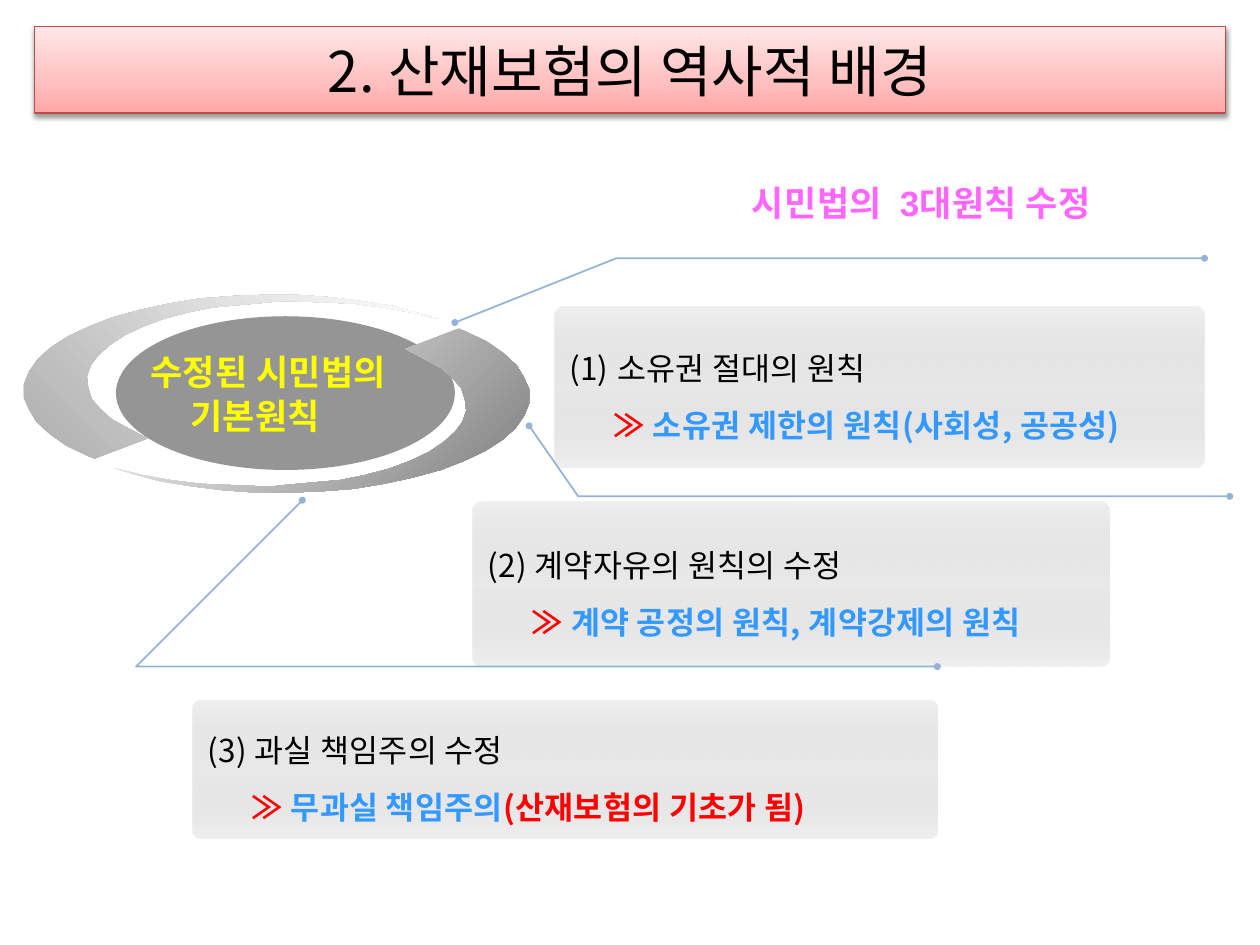
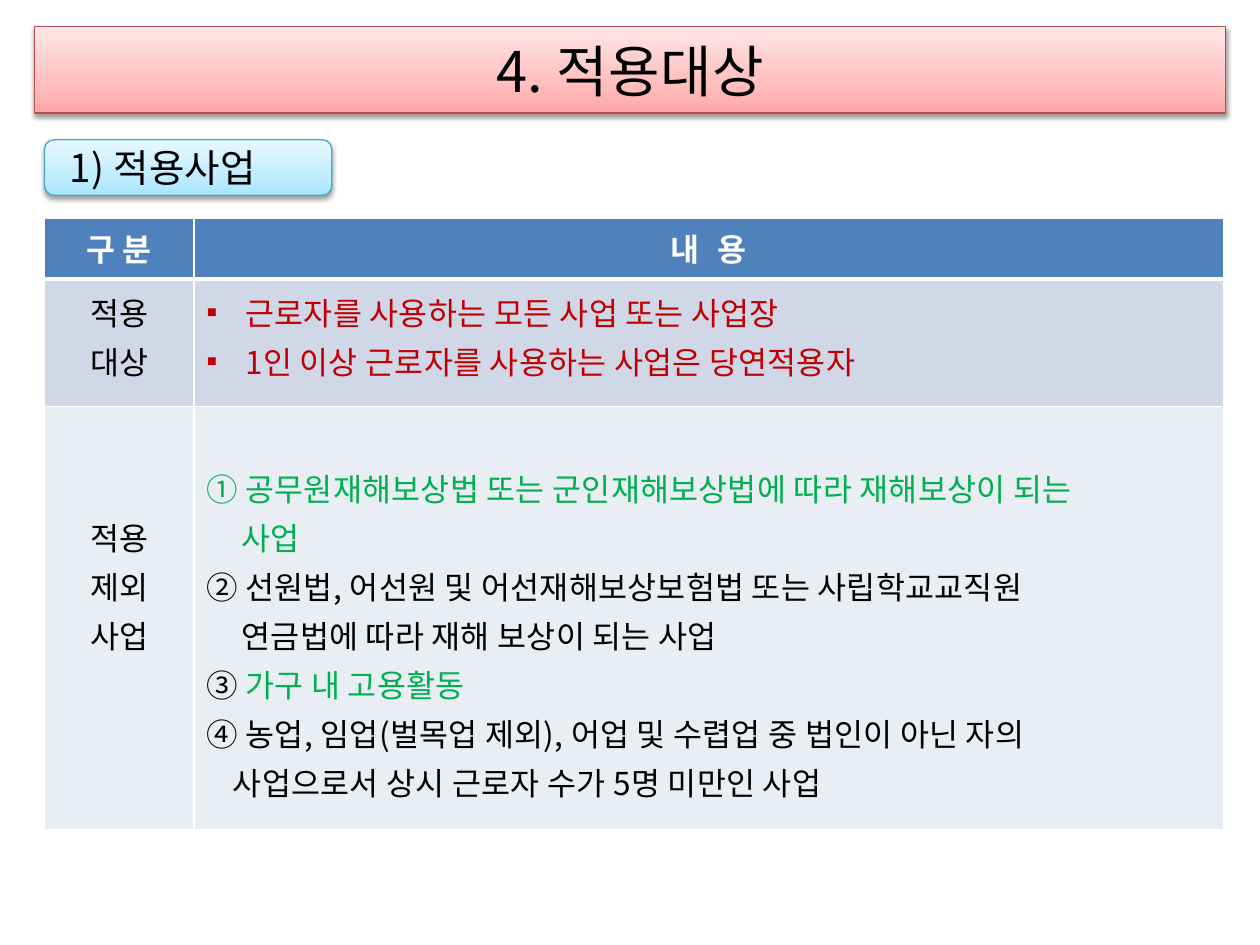
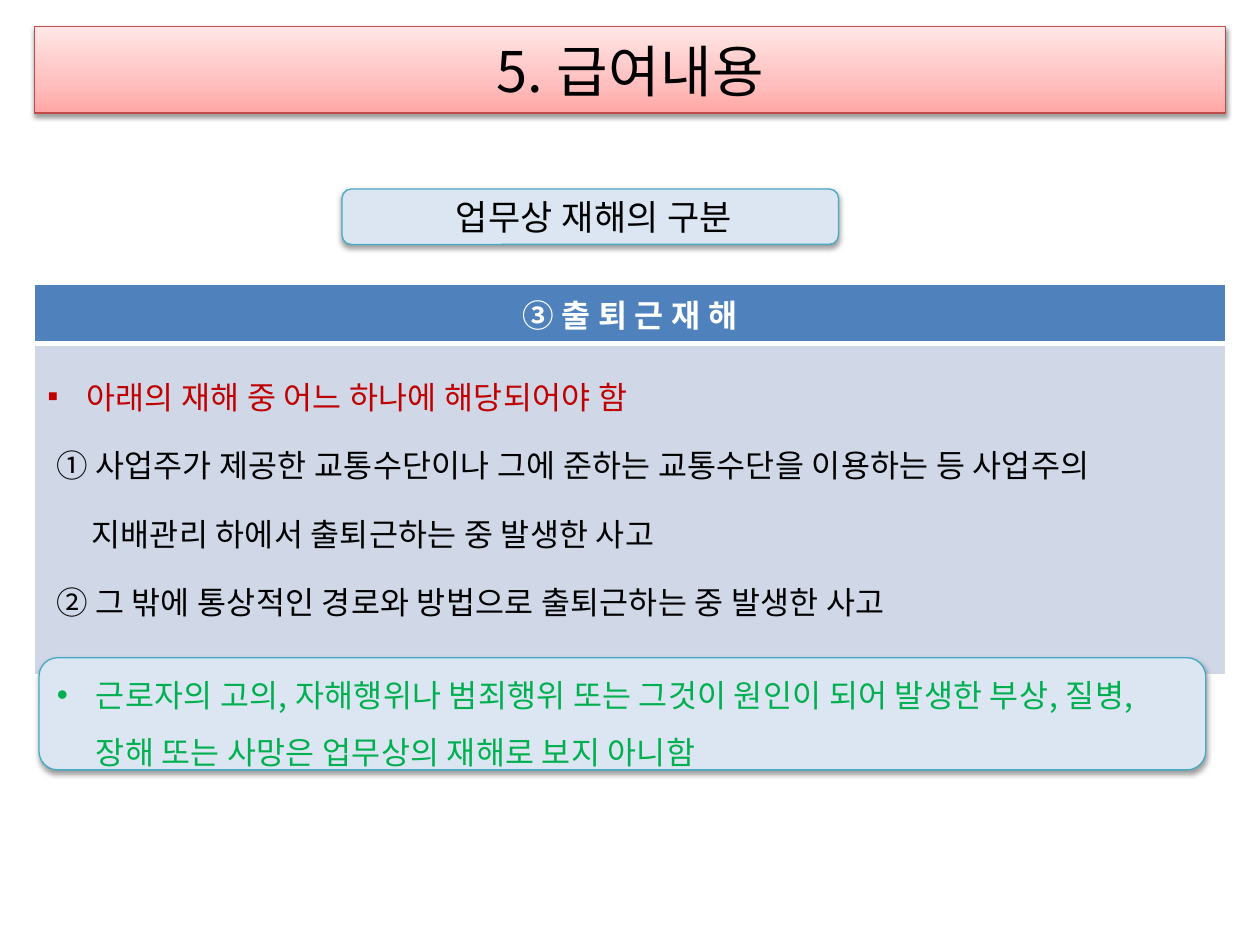
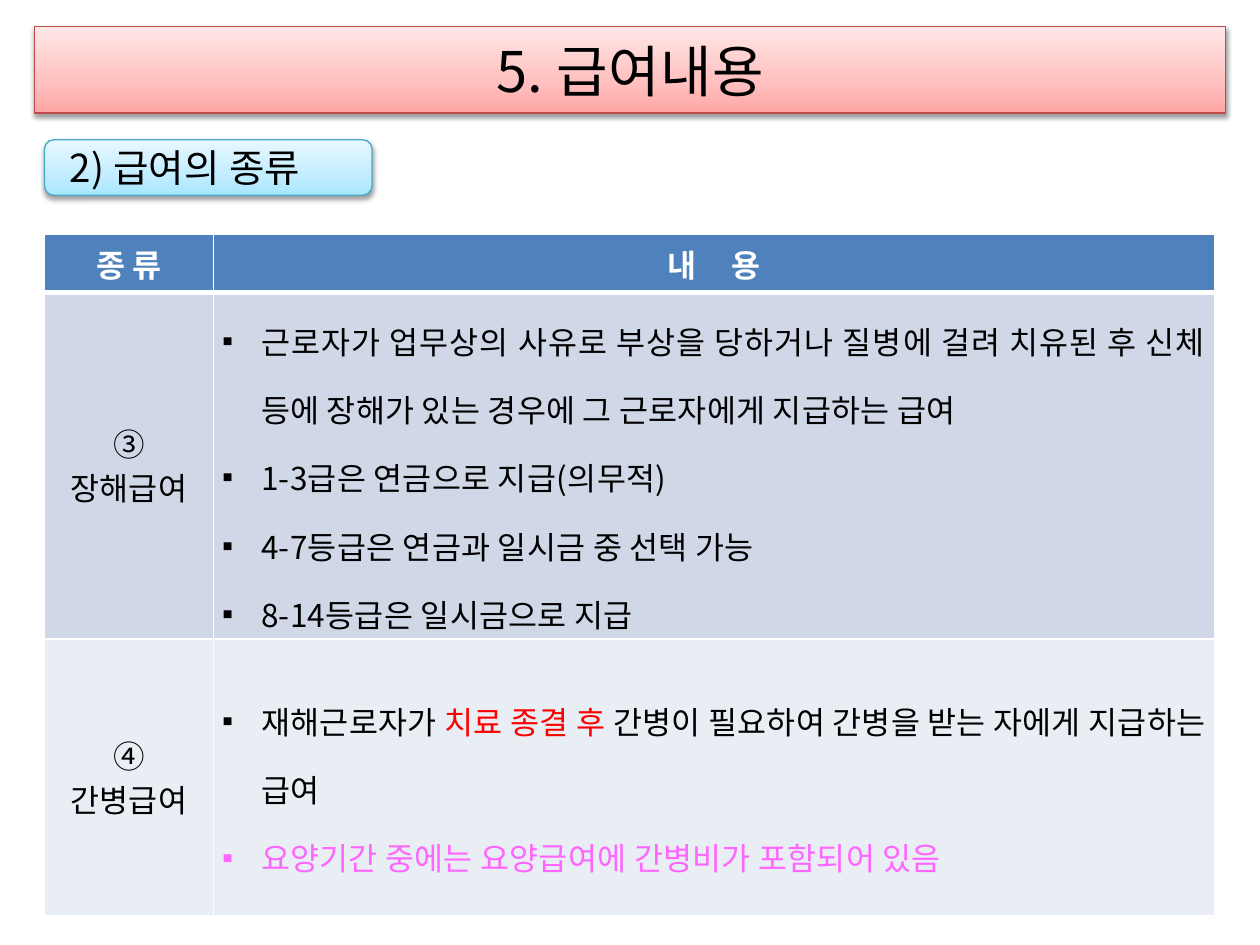
from dataclasses import dataclass
from typing import Any, Sequence

from lxml.etree import SubElement
from pptx import Presentation
from pptx.dml.color import RGBColor
from pptx.enum.shapes import MSO_SHAPE
from pptx.enum.text import MSO_ANCHOR, PP_ALIGN
from pptx.oxml.ns import qn
from pptx.util import Inches, Length, Pt

WIDE, HIGH = Inches(10), Inches(7.5)
COLS, ROWS = 100, 75
FACE = "Noto Sans CJK KR"
TRACK = 18
BLACK, WHITE, RED, BRICK = "000000", "FFFFFF", "FF0000", "C00000"
GREEN, BLUE, PINK, YELLOW = "00B050", "3399FF", "FF66FF", "FFFF00"
HEAD, BANDS, PALE, TEAL = "4F81BD", ("D0D8E8", "E9EDF4"), "DCE6F2", "46AAC5"
LEFT, MID, JUST = PP_ALIGN.LEFT, PP_ALIGN.CENTER, PP_ALIGN.JUSTIFY
Box = tuple[float, float, float, float]
Spot = tuple[float, float]


@dataclass(frozen=True)
class Fade:
    """Gradient: stops are (position, colour, opacity) in percent."""
    stops: tuple[tuple[int, str, int], ...]
    angle: int


@dataclass(frozen=True)
class Bit:
    text: str
    hue: str = ""
    gap: float = 0


@dataclass(frozen=True)
class Para:
    text: str | tuple[Bit, ...]
    hue: str = BLACK
    size: float = 18
    bold: bool = False
    side: PP_ALIGN = LEFT
    lead: float | Length = 1.0
    left: float = 0
    mark: str = ""
    before: float = 0
    face: str = FACE


@dataclass(frozen=True)
class Cell:
    paras: Sequence[Para]
    top: float = 0.5
    side: float = 1
    mid: bool = False


@dataclass(frozen=True)
class Card:
    box: Box
    glow: str
    paras: Sequence[Para]
    line: Sequence[Spot]


ROSE = Fade(((0, "FFA6A5", 100), (35, "FFC0BF", 100), (100, "FFE7E7", 100)), 270)
AQUA = Fade(((0, "A7E6FF", 100), (35, "C1EDFF", 100), (100, "E7F8FF", 100)), 270)


def col(n: float) -> Length:
    return Length(round(WIDE * n / COLS))


def row(n: float) -> Length:
    return Length(round(HIGH * n / ROWS))


def place(box: Box) -> tuple[Length, ...]:
    return col(box[0]), row(box[1]), col(box[2]), row(box[3])


def rgb(hue: str) -> RGBColor:
    return RGBColor.from_string(hue)


def add(node: Any, tag: str, **keys: object) -> Any:
    return SubElement(node, qn(tag), {k: str(v) for k, v in keys.items()})


def paint(shape: Any, fill: str | Fade) -> None:
    shape.fill.solid()
    if isinstance(fill, str):
        shape.fill.fore_color.rgb = rgb(fill)
        return
    props = shape.element.spPr
    grad = add(props, "a:gradFill", rotWithShape=1)
    props.replace(props.find(qn("a:solidFill")), grad)
    stops = add(grad, "a:gsLst")
    for pos, hue, alpha in fill.stops:
        stop = add(stops, "a:gs", pos=pos * 1000)
        tint = add(stop, "a:srgbClr", val=hue)
        if alpha < 100:
            add(tint, "a:alpha", val=alpha * 1000)
    add(grad, "a:lin", ang=fill.angle * 60000, scaled=0)


def plain(shape: Any) -> None:
    """Drop the theme look of a new shape."""
    shape.element.remove(shape.element.find(qn("p:style")))
    shape.shadow.inherit = False


def shade(shape: Any) -> None:
    effects = shape.element.spPr.find(qn("a:effectLst"))
    drop = add(effects, "a:outerShdw", blurRad=Pt(3.1), dist=Pt(1.6),
               dir=5400000, rotWithShape=0)
    add(add(drop, "a:srgbClr", val=BLACK), "a:alpha", val=38000)


def write(frame: Any, paras: Sequence[Para]) -> None:
    for i, item in enumerate(paras):
        para = frame.paragraphs[0] if i == 0 else frame.add_paragraph()
        para.alignment, para.line_spacing = item.side, item.lead
        if item.before:
            para.space_before = Pt(item.before)
        props = para._p.get_or_add_pPr()
        props.set("marL", str(col(item.left)))
        if item.mark:
            props.set("indent", str(-col(item.left)))
            if item.mark == "(1)":
                add(props, "a:buAutoNum", type="arabicParenBoth")
            else:
                add(props, "a:buFont", typeface="Arial")
                add(props, "a:buChar", char=item.mark)
        bits = (Bit(item.text),) if isinstance(item.text, str) else item.text
        font = para.font
        font.size, font.bold, font.name = Pt(item.size), item.bold, item.face
        font.color.rgb = rgb(item.hue)
        look = props.find(qn("a:defRPr"))
        look.set("spc", str(TRACK))
        add(look, "a:ea", typeface=FACE)
        for bit in bits:
            run = para.add_run()
            run.text = bit.text
            if bit.hue:
                run.font.color.rgb = rgb(bit.hue)
            if bit.gap:
                run._r.get_or_add_rPr().set("spc", str(round(bit.gap * 100)))


def block(into: Any, kind: MSO_SHAPE, box: Box, fill: str | Fade,
          paras: Sequence[Para] = (), edge: str = "", bend: float | None = None) -> None:
    """Preset shape with text; one with an edge also casts a shadow."""
    shape = into.add_shape(kind, *place(box))
    plain(shape)
    paint(shape, fill)
    if bend is not None:
        shape.adjustments[0] = bend
    if edge:
        shape.line.color.rgb, shape.line.width = rgb(edge), Pt(0.75)
        shade(shape)
    else:
        shape.line.fill.background()
    if paras:
        frame = shape.text_frame
        frame.word_wrap, frame.vertical_anchor = True, MSO_ANCHOR.MIDDLE
        write(frame, paras)


def label(into: Any, box: Box, paras: Sequence[Para]) -> None:
    frame = into.add_textbox(*place(box)).text_frame
    frame.word_wrap = True
    write(frame, paras)


def trace(into: Any, spots: Sequence[Spot], close: bool) -> Any:
    ends = [(col(x), row(y)) for x, y in spots]
    pen = into.build_freeform(*ends[0], scale=1.0)
    pen.add_line_segments(ends[1:], close=close)
    shape = pen.convert_to_shape()
    plain(shape)
    return shape


def leader(into: Any, spots: Sequence[Spot]) -> None:
    """Bent line with a dot at both ends."""
    shape = trace(into, spots, False)
    shape.fill.background()
    shape.line.color.rgb, shape.line.width = rgb("95B3D7"), Pt(1)
    line = shape.element.spPr.find(qn("a:ln"))
    for tip in ("a:headEnd", "a:tailEnd"):
        add(line, tip, type="oval", w="sm", len="sm")


def crescent(into: Any, spots: Sequence[Spot], fill: Fade) -> None:
    shape = trace(into, spots, True)
    paint(shape, fill)
    shape.line.fill.background()


def border(cell: Any, top: float, bottom: float) -> None:
    props = cell._tc.get_or_add_tcPr()
    for side, wide in (("L", 1), ("R", 1), ("T", top), ("B", bottom)):
        line = add(props, f"a:ln{side}", w=Pt(wide))
        add(add(line, "a:solidFill"), "a:srgbClr", val=WHITE)


def grid(into: Any, spot: Spot, wides: Sequence[float], highs: Sequence[float],
         heads: Sequence[str | tuple[Bit, ...]], body: Sequence[Sequence[Cell]]) -> None:
    box = (*spot, sum(wides), sum(highs))
    table = into.add_table(len(highs), len(wides), *place(box)).table
    table.first_row = table.horz_banding = False
    for c, wide in enumerate(wides):
        table.columns[c].width = col(wide)
    for r, high in enumerate(highs):
        table.rows[r].height = row(high)
    top = [Cell([Para(text, WHITE, bold=True, side=MID)]) for text in heads]
    for r, line in enumerate([top, *body]):
        for c, item in enumerate(line):
            cell = table.cell(r, c)
            border(cell, 3 if r == 1 else 1, 3 if r == 0 else 1)
            cell.fill.solid()
            cell.fill.fore_color.rgb = rgb(BANDS[(r - 1) % 2] if r else HEAD)
            cell.margin_left = cell.margin_right = col(item.side)
            cell.margin_top = row(item.top)
            cell.margin_bottom = row(min(item.top, 0.5))
            cell.vertical_anchor = MSO_ANCHOR.MIDDLE if item.mid else MSO_ANCHOR.TOP
            write(cell.text_frame, item.paras)


def start(deck: Any, title: str) -> Any:
    """New slide with the title band; gives back its shapes."""
    into = deck.slides.add_slide(deck.slide_layouts[6]).shapes
    block(into, MSO_SHAPE.RECTANGLE, (2.75, 2.08, 94.5, 6.9), ROSE,
          [Para(title, size=32, side=MID)], "BF4C48")
    return into


def tag(into: Any, text: str, wide: float) -> None:
    block(into, MSO_SHAPE.ROUNDED_RECTANGLE, (3.53, 11.1, wide, 4.4), AQUA,
          [Para(text, size=22, left=0.8)], TEAL)


def result(*bits: Bit) -> Para:
    return Para((Bit("≫ ", RED), *bits), bold=True, lead=1.5, left=3.5)


CARDS = (
    Card((15.3, 55.6, 59.1, 10.9), "EAEAEA",
         [Para("(3) 과실 책임주의 수정", lead=1.5),
          result(Bit("무과실 책임주의", BLUE), Bit("(산재보험의 기초가 됨)", RED))],
         ((36.1, 25.6), (48.9, 20.5), (95.6, 20.5))),
    Card((44, 24.3, 51.6, 12.8), "E8E8E8",
         [Para("소유권 절대의 원칙", lead=1.5, left=3.8, mark="(1)"),
          result(Bit("소유권 제한의 원칙(사회성, 공공성)", BLUE))],
         ((42, 33.8), (45.9, 39.4), (97.6, 39.4))),
    Card((37.5, 39.8, 50.6, 13.1), "EAEAEA",
         [Para("(2) 계약자유의 원칙의 수정", lead=1.5),
          result(Bit("계약 공정의 원칙, 계약강제의 원칙", BLUE))],
         ((24, 39.7), (10.8, 52.9), (74.4, 52.9))),
)
SWIRL = (
    (22.2, 23.9), (23.1, 23.9), (25.6, 24), (28, 24.1), (30.4, 24.4), (32.6, 24.8),
    (34.7, 25.3), (33.4, 24.9), (31.2, 24.3), (28.7, 23.9), (26.3, 23.6), (23.6, 23.4),
    (21, 23.4), (18.4, 23.5), (15.8, 23.7), (13.4, 24.1), (11.1, 24.6), (8.9, 25.2),
    (7.1, 25.9), (5.4, 26.7), (4, 27.6), (3, 28.5), (2.3, 29.5), (1.9, 30.5),
    (1.9, 31.6), (2.3, 32.5), (2.9, 33.5), (4, 34.5), (5.3, 35.4), (7, 36.2),
    (7.5, 36.4), (11.7, 34.8), (10.2, 34), (8.9, 33.3), (8, 32.5), (7.3, 31.7),
    (7, 30.8), (6.9, 29.9), (7.2, 29), (7.8, 28.2), (8.7, 27.4), (9.9, 26.6),
    (11.4, 25.9), (13, 25.3), (14.9, 24.8), (16.9, 24.4), (19.1, 24.2), (21.3, 24),
)


def history(deck: Any) -> None:
    into = start(deck, "2. 산재보험의 역사적 배경")
    for card in CARDS:
        glow = Fade(((0, "CBCBCB", 30), (50, card.glow, 100), (100, "CBCBCB", 30)), 90)
        block(into, MSO_SHAPE.ROUNDED_RECTANGLE, card.box, glow, card.paras, bend=0.06)
        leader(into, card.line)
    hub = into.add_group_shape().shapes
    block(hub, MSO_SHAPE.OVAL, (9.2, 25.1, 26.9, 12.2), "959595")
    crescent(hub, SWIRL, Fade(((0, "AEAEAE", 100), (100, WHITE, 100)), 315))
    turned = [(43.9 - x, 62.5 - y) for x, y in SWIRL]
    crescent(hub, turned, Fade(((0, WHITE, 100), (100, "7E7E7E", 100)), 45))
    label(hub, (3.5, 28.6, 33.5, 6.9),
          [Para("수정된 시민법의", YELLOW, 20, True, MID, Pt(15), 2.1),
           Para("기본원칙", YELLOW, 20, True, MID, Pt(15), before=10)])
    label(into, (58.7, 13.9, 31.4, 4.4),
          [Para((Bit("시민법의"), Bit(" ", gap=5.5), Bit("3대원칙 수정")),
                PINK, 20, True, face="Arial")])


def scope(deck: Any) -> None:
    into = start(deck, "4. 적용대상")
    tag(into, "1) 적용사업", 22.8)
    lead = Pt(28)

    def names(*words: str) -> list[Para]:
        return [Para(word, side=MID, lead=lead) for word in words]

    rules = [
        Para("① 공무원재해보상법 또는 군인재해보상법에 따라 재해보상이 되는", GREEN, lead=lead),
        Para("사업", GREEN, lead=lead, left=2.8),
        Para("② 선원법, 어선원 및 어선재해보상보험법 또는 사립학교교직원", lead=lead),
        Para("연금법에 따라 재해 보상이 되는 사업", lead=lead, left=2.8),
        Para((Bit("③ "), Bit("가구 내 고용활동", GREEN)), lead=lead),
        Para("④ 농업, 임업(벌목업 제외), 어업 및 수렵업 중 법인이 아닌 자의", lead=lead),
        Para("사업으로서 상시 근로자 수가 5명 미만인 사업", lead=lead, left=2.1),
    ]
    points = [Para(text, BRICK, lead=lead, left=3.1, mark="▪") for text in (
        "근로자를 사용하는 모든 사업 또는 사업장",
        "1인 이상 근로자를 사용하는 사업은 당연적용자")]
    grid(into, (3.53, 17.35), (11.85, 81.75), (4.8, 10.1, 33.6),
         ("구 분", (Bit("내 ", gap=3), Bit("용"))),
         [[Cell(names("적용", "대상")), Cell(points)],
          [Cell(names("적용", "제외", "사업"), top=8.3), Cell(rules, top=4.4)]])


def commute(deck: Any) -> None:
    into = start(deck, "5. 급여내용")
    rules = [
        Para("아래의 재해 중 어느 하나에 해당되어야 함", BRICK, lead=1.5, left=3.1, mark="▪"),
        Para("➀ 사업주가 제공한 교통수단이나 그에 준하는 교통수단을 이용하는 등 사업주의",
             lead=1.5, left=0.7),
        Para("지배관리 하에서 출퇴근하는 중 발생한 사고", lead=1.5, left=3.5),
        Para("➁ 그 밖에 통상적인 경로와 방법으로 출퇴근하는 중 발생한 사고",
             lead=1.5, left=0.7),
    ]
    grid(into, (2.75, 22.58), (94.5,), (4.7, 26.3), ("③ 출 퇴 근 재 해",), [[Cell(rules)]])
    notes = (
        ((27.15, 15, 39.4, 4.4), Para("업무상 재해의 구분", size=20, side=MID, left=0.6)),
        ((3.1, 52.2, 92.6, 8.9),
         Para("근로자의 고의, 자해행위나 범죄행위 또는 그것이 원인이 되어 발생한 부상, 질병, "
              "장해 또는 사망은 업무상의 재해로 보지 아니함",
              GREEN, lead=1.5, left=3.1, mark="•")),
    )
    for box, para in notes:
        block(into, MSO_SHAPE.ROUNDED_RECTANGLE, box, PALE, [para], TEAL)


def benefit(deck: Any) -> None:
    into = start(deck, "5. 급여내용")

    def name(*words: str) -> Cell:
        return Cell([Para(word, side=MID, lead=Pt(25)) for word in words], 0.2, 0.7, True)

    def point(text: str | tuple[Bit, ...], hue: str = BLACK) -> Para:
        return Para(text, hue, side=JUST, lead=1.5, left=3.1, mark="▪")

    injury = [point(text) for text in (
        "근로자가 업무상의 사유로 부상을 당하거나 질병에 걸려 치유된 후 신체 등에 "
        "장해가 있는 경우에 그 근로자에게 지급하는 급여",
        "1-3급은 연금으로 지급(의무적)",
        "4-7등급은 연금과 일시금 중 선택 가능",
        "8-14등급은 일시금으로 지급")]
    care = [
        point((Bit("재해근로자가 "), Bit("치료 종결 후 ", RED),
               Bit("간병이 필요하여 간병을 받는 자에게 지급하는 급여"))),
        point("요양기간 중에는 요양급여에 간병비가 포함되어 있음", PINK),
    ]
    grid(into, (3.53, 18.6), (13.4, 79.5), (4.6, 27.5, 22),
         ("종 류", (Bit("내 ", gap=8), Bit("용"))),
         [[name("③", "장해급여"), Cell(injury, 0.2, 0.7, True)],
          [name("④", "간병급여"), Cell(care, 0.2, 0.7, True)]])
    tag(into, "2) 급여의 종류", 26)


def main() -> None:
    deck = Presentation()
    deck.slide_width, deck.slide_height = WIDE, HIGH
    for build in (history, scope, commute, benefit):
        build(deck)
    deck.save("out.pptx")


if __name__ == "__main__":
    main()
